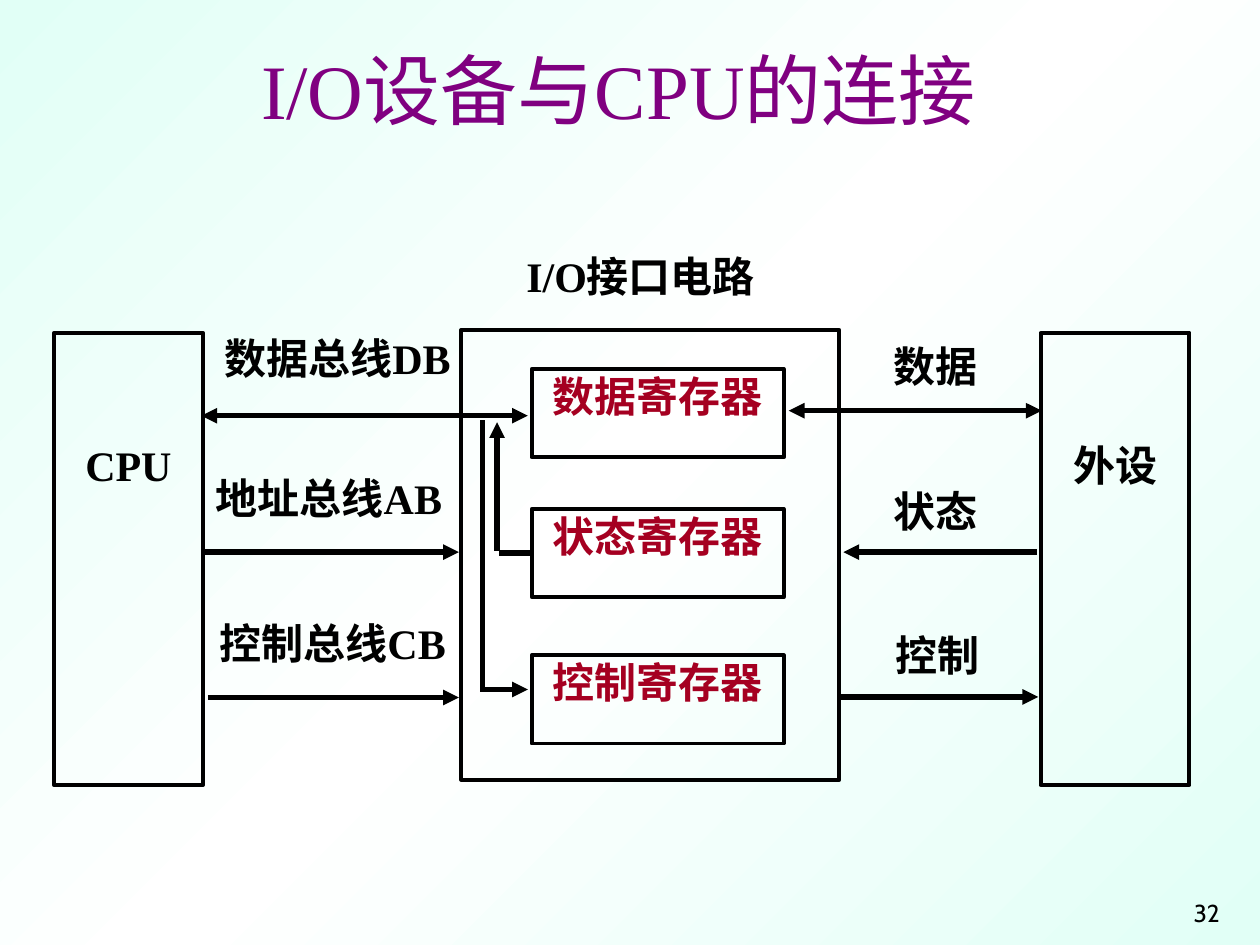
from copy import deepcopy

from pptx import Presentation
from pptx.dml.color import RGBColor
from pptx.enum.shapes import MSO_CONNECTOR, MSO_SHAPE
from pptx.enum.text import MSO_ANCHOR, PP_ALIGN
from pptx.oxml.ns import qn
from pptx.util import Cm, Pt
from lxml.etree import SubElement

SERIF = "Times New Roman"
BLACK = "000000"
RED = "A50021"
PURPLE = "800080"


def color(hex_string):
    return RGBColor.from_string(hex_string)


def paint_background(slide, edge, middle):
    fill = slide.background.fill
    fill.gradient()
    fill.gradient_angle = 315
    stops = slide._element.find(".//" + qn("a:gsLst"))
    stops.insert(1, deepcopy(stops[0]))
    for stop, position, tint in zip(fill.gradient_stops, (0, 0.5, 1), (edge, middle, edge)):
        stop.position = position
        stop.color.rgb = color(tint)


def write(shape, text, size=24, tint=BLACK, font=SERIF, bold=True,
          align=PP_ALIGN.CENTER, anchor=MSO_ANCHOR.TOP, inset=0.03, drop=0.03):
    frame = shape.text_frame
    frame.word_wrap = True
    frame.vertical_anchor = anchor
    frame.margin_left = frame.margin_right = Cm(inset)
    frame.margin_top, frame.margin_bottom = Cm(drop), Cm(0.03)
    paragraph = frame.paragraphs[0]
    paragraph.text = text
    paragraph.alignment = align
    paragraph.font.size = Pt(size)
    paragraph.font.name = font
    paragraph.font.bold = bold
    paragraph.font.color.rgb = color(tint)


def add_label(slide, text, left, top, width, height, **style):
    label = slide.shapes.add_textbox(Cm(left), Cm(top), Cm(width), Cm(height))
    write(label, text, **style)


def add_box(slide, left, top, width, height, text="", **style):
    box = slide.shapes.add_shape(MSO_SHAPE.RECTANGLE, Cm(left), Cm(top), Cm(width), Cm(height))
    box.shadow.inherit = False
    box.fill.background()
    box.line.color.rgb = color(BLACK)
    box.line.width = Pt(2.25)
    if text:
        write(box, text, **style)
    return box


def add_wire(slide, start, end, heads=("tailEnd",)):
    wire = slide.shapes.add_connector(MSO_CONNECTOR.STRAIGHT, *map(Cm, start + end))
    wire.line.color.rgb = color(BLACK)
    wire.line.width = Pt(3)
    for head in heads:
        SubElement(wire.line._get_or_add_ln(), qn("a:" + head), type="triangle")
    SubElement(wire._element.spPr, qn("a:effectLst"))
    return wire


def main():
    presentation = Presentation()
    presentation.slide_width, presentation.slide_height = Cm(25.4), Cm(19.05)
    slide = presentation.slides.add_slide(presentation.slide_layouts[6])
    paint_background(slide, "E1FFF6", "FFFFFF")

    add_label(slide, "I/O设备与CPU的连接", 1.65, 1.19, 21.64, 1.57, size=44, tint=PURPLE,
              bold=False, anchor=MSO_ANCHOR.BOTTOM, inset=0.25)
    add_label(slide, "32", 18.85, 17.86, 5.99, 0.87, size=14, font="Cabin", bold=False,
              align=PP_ALIGN.RIGHT, anchor=MSO_ANCHOR.BOTTOM, inset=0.25)

    add_label(slide, "I/O接口电路", 10.39, 5.03, 5.05, 1.83)
    for bus, left, top, width in (("数据总线DB", 4.24, 6.68, 5.13),
                                  ("地址总线AB", 4.19, 9.5, 4.88),
                                  ("控制总线CB", 4.14, 12.42, 5.13)):
        add_label(slide, bus, left, top, width, 2.06)
    for signal, left, top in (("数据", 17.6, 6.83), ("状态", 17.6, 9.75), ("控制", 17.65, 12.67)):
        add_label(slide, signal, left, top, 2.51, 1.35)

    for unit, left in (("CPU", 1.09), ("外设", 20.98)):
        add_box(slide, left, 6.71, 3, 9.12, unit, drop=2.15)
    add_box(slide, 9.3, 6.65, 7.62, 9.07)
    registers = {
        name: add_box(slide, 10.72, top, 5.08, 1.78, name, tint=RED)
        for name, top in (("数据寄存器", 7.44), ("状态寄存器", 10.26), ("控制寄存器", 13.21))
    }

    both_ends = ("headEnd", "tailEnd")
    add_wire(slide, (4.06, 8.38), (10.64, 8.38), both_ends)
    add_wire(slide, (4.14, 11.13), (9.25, 11.13))
    add_wire(slide, (4.19, 14.06), (9.25, 14.06))

    add_wire(slide, (15.9, 8.28), (21, 8.28), both_ends)
    add_wire(slide, (20.9, 11.13), (17, 11.13))
    add_wire(slide, (16.94, 14.05), (20.93, 14.05))

    status_link = add_wire(slide, (10.06, 11.15), (10.72, 11.15), ())
    status_link.end_connect(registers["状态寄存器"], 1)
    add_wire(slide, (10.02, 11.1), (10.02, 8.51))
    add_wire(slide, (9.72, 13.94), (9.72, 8.46), ())
    add_wire(slide, (9.72, 13.9), (10.64, 13.9))

    presentation.save("out.pptx")


if __name__ == "__main__":
    main()
